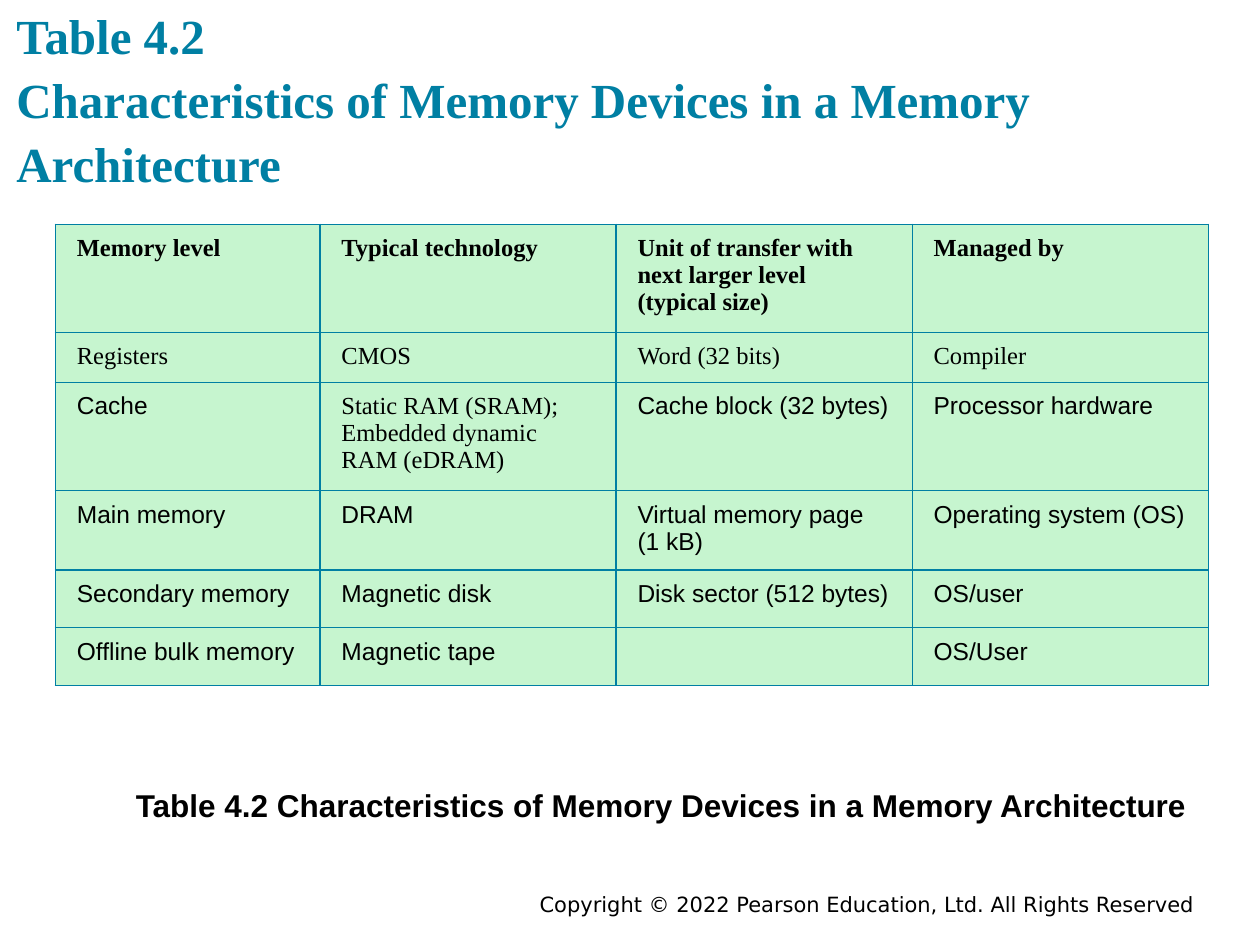
from dataclasses import dataclass

from lxml.etree import SubElement
from pptx import Presentation
from pptx.dml.color import RGBColor
from pptx.enum.text import MSO_ANCHOR, MSO_AUTO_SIZE, PP_ALIGN
from pptx.oxml.ns import qn
from pptx.slide import Slide
from pptx.util import Inches, Pt

SERIF, SANS = "Times New Roman", "Arial"
COLUMN_WIDTHS = [2.1, 2.35, 2.35, 2.35]
ROW_HEIGHTS = [0.7, 0.32, 0.7, 0.51, 0.46, 0.46]
ROWS = [
    ["Memory level", "Typical technology",
     "Unit of transfer with\nnext larger level\n(typical size)", "Managed by"],
    ["Registers", "CMOS", "Word (32 bits)", "Compiler"],
    ["Cache", "Static RAM (SRAM);\nEmbedded dynamic\nRAM (eDRAM)",
     "Cache block (32 bytes)", "Processor hardware"],
    ["Main memory", "DRAM", "Virtual memory page\n(1 kB)", "Operating system (OS)"],
    ["Secondary memory", "Magnetic disk", "Disk sector (512 bytes)", "OS/user"],
    ["Offline bulk memory", "Magnetic tape", "", "OS/User"],
]


def rgb(value):
    return RGBColor.from_string(value)


@dataclass
class MemorySlide:
    """Hold the slide and its style, and add each kind of element."""

    s: Slide
    accent: str = "007FA3"
    cell_fill: str = "C6F5CF"
    ink: str = "000000"

    def run(self, p, text, size, font, bold=False, color=None):
        r = p.add_run()
        r.text = text
        r.font.size = Pt(size)
        r.font.name = font
        r.font.bold = bold
        r.font.color.rgb = rgb(color or self.ink)

    def title(self, lines, box):
        sp = self.s.shapes.title
        sp.left, sp.top, sp.width, sp.height = map(Inches, box)
        tf = sp.text_frame
        tf.word_wrap = True
        tf.auto_size = MSO_AUTO_SIZE.NONE
        tf.vertical_anchor = MSO_ANCHOR.BOTTOM
        tf.margin_left = tf.margin_right = Inches(0.1)
        tf.margin_top = tf.margin_bottom = Inches(0.1)
        p = tf.paragraphs[0]
        p.alignment = PP_ALIGN.LEFT
        p.line_spacing = 1.09
        for i, line in enumerate(lines):
            if i:
                p.add_line_break()
            self.run(p, line, 28, SERIF, True, self.accent)

    def text(self, text, box, size, font, bold=False, align=PP_ALIGN.LEFT, wrap=True):
        tf = self.s.shapes.add_textbox(*map(Inches, box)).text_frame
        tf.word_wrap = wrap
        if not wrap:
            tf.auto_size = MSO_AUTO_SIZE.SHAPE_TO_FIT_TEXT
        p = tf.paragraphs[0]
        p.alignment = align
        self.run(p, text, size, font, bold)

    def border(self, cell):
        tc_pr = cell._tc.get_or_add_tcPr()
        for side in ("lnL", "lnR", "lnT", "lnB"):
            ln = SubElement(tc_pr, qn(f"a:{side}"), w=str(Pt(1)))
            fill = SubElement(ln, qn("a:solidFill"))
            SubElement(fill, qn("a:srgbClr"), val=self.accent)

    def cell(self, cell, text, font, bold):
        cell.margin_left = cell.margin_right = Inches(0.17)
        cell.margin_top = cell.margin_bottom = Inches(0.08)
        self.border(cell)
        cell.fill.solid()
        cell.fill.fore_color.rgb = rgb(self.cell_fill)
        tf = cell.text_frame
        for i, line in enumerate(text.splitlines()):
            p = tf.add_paragraph() if i else tf.paragraphs[0]
            self.run(p, line, 14, font, bold)

    def table(self, rows, left, top, widths, heights):
        frame = self.s.shapes.add_table(
            len(rows), len(widths), Inches(left), Inches(top),
            Inches(sum(widths)), Inches(sum(heights)))
        table = frame.table
        table.horz_banding = table.first_row = False
        for column, width in zip(table.columns, widths):
            column.width = Inches(width)
        for i, (row, height) in enumerate(zip(rows, heights)):
            table.rows[i].height = Inches(height)
            for j, text in enumerate(row):
                font = SERIF if i < 2 or (i, j) == (2, 1) else SANS
                self.cell(table.cell(i, j), text, font, i == 0)


def main():
    prs = Presentation()
    prs.slide_width, prs.slide_height = Inches(10), Inches(7.5)
    slide = MemorySlide(prs.slides.add_slide(prs.slide_layouts[5]))
    heading = "Characteristics of Memory Devices in a Memory Architecture"
    slide.title(["Table 4.2", heading], (0.03, 0.13, 9.97, 1.5))
    slide.text("Copyright © 2022 Pearson Education, Ltd. All Rights Reserved",
               (1.75, 7.03, 7.83, 0.22), 12, "DejaVu Sans", align=PP_ALIGN.RIGHT)
    slide.table(ROWS, 0.44, 1.78, COLUMN_WIDTHS, ROW_HEIGHTS)
    slide.text(f"Table 4.2 {heading}", (0.98, 6.19, 8.62, 0.4), 18, SANS,
               bold=True, wrap=False)
    prs.save("out.pptx")


if __name__ == "__main__":
    main()
